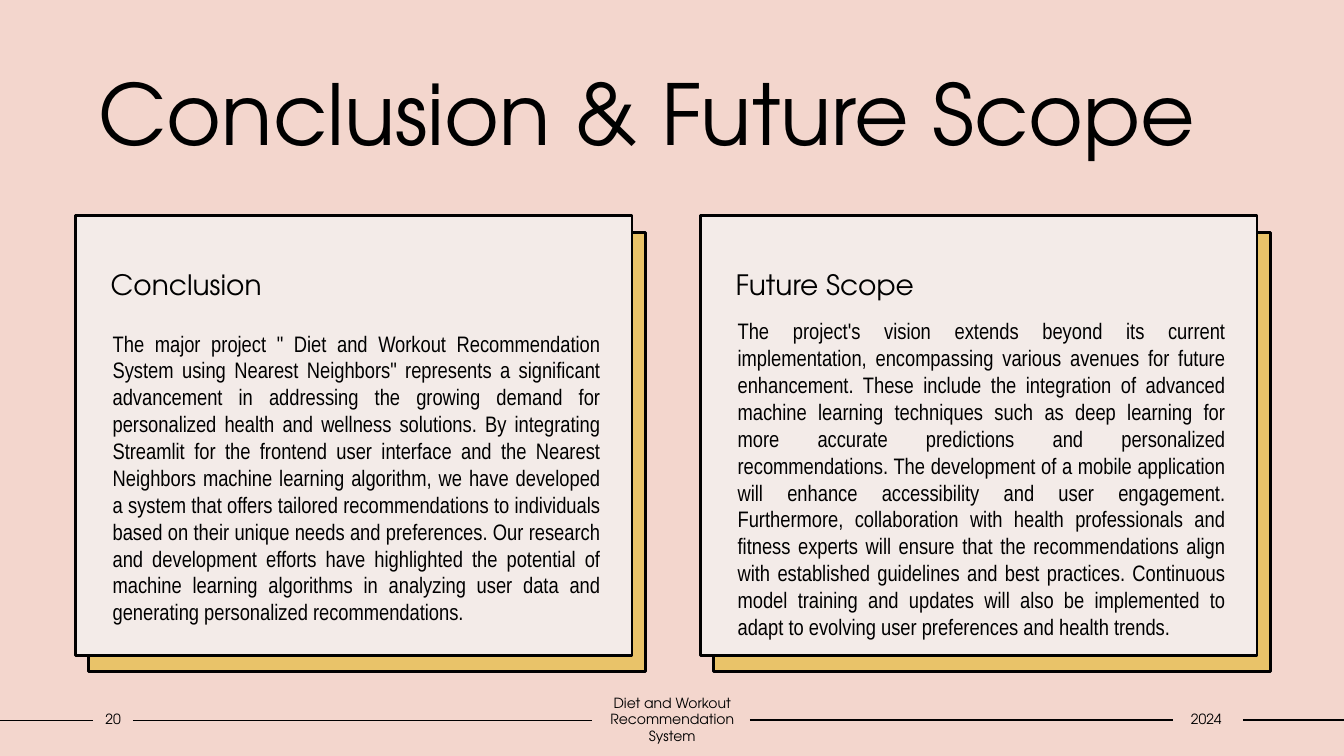
"""Build the conclusion and future scope slide."""
from dataclasses import dataclass

from lxml import etree
from pptx import Presentation
from pptx.dml.color import RGBColor
from pptx.enum.shapes import MSO_CONNECTOR, MSO_SHAPE
from pptx.enum.text import MSO_ANCHOR, MSO_AUTO_SIZE, PP_ALIGN
from pptx.oxml.ns import qn
from pptx.shapes.autoshape import Shape
from pptx.slide import Slide
from pptx.text.text import TextFrame
from pptx.util import Cm, Pt

RECTANGLE = MSO_SHAPE.RECTANGLE
STRAIGHT = MSO_CONNECTOR.STRAIGHT
TOP, MIDDLE = MSO_ANCHOR.TOP, MSO_ANCHOR.MIDDLE
LEFT, CENTER, JUSTIFY = PP_ALIGN.LEFT, PP_ALIGN.CENTER, PP_ALIGN.JUSTIFY
NO_AUTOFIT = MSO_AUTO_SIZE.NONE

BLACK = RGBColor(0x00, 0x00, 0x00)
PINK = RGBColor(0xF3, 0xD6, 0xCD)
YELLOW = RGBColor(0xE9, 0xC3, 0x69)
CREAM = RGBColor(0xF3, 0xEB, 0xE8)

DISPLAY_FONT = "TeX Gyre Adventor"
BODY_FONT = "Arial Narrow"

CARD_LEFT, CARD_TOP, CARD_PITCH = 1.9, 5.44, 15.75
CARD_WIDTH, CARD_HEIGHT = 14.03, 11.07
BACKING_DX, BACKING_DY = 0.34, 0.41
BODY_DX, BODY_WIDTH = 0.69, 12.8
FOOTER_TOP, FOOTER_HEIGHT = 17.78, 0.69


@dataclass(frozen=True)
class Card:
    heading: str
    body: str
    body_top: float
    body_height: float


@dataclass(frozen=True)
class FooterLabel:
    text: str
    left: float
    width: float


@dataclass(frozen=True)
class FooterRule:
    start: float
    end: float
    y: float


@dataclass(frozen=True)
class TextStyle:
    font: str
    size: int
    alignment: PP_ALIGN
    anchor: MSO_ANCHOR = TOP
    insets: tuple[float, float, float, float] = (0.25, 0.13, 0.25, 0.13)
    line_spacing: float = 1.0


TITLE_STYLE = TextStyle(DISPLAY_FONT, 60, CENTER, MIDDLE)
HEADING_STYLE = TextStyle(DISPLAY_FONT, 20, LEFT, TOP, (0.89, 1.4, 0.25, 0.13), 0.9)
BODY_STYLE = TextStyle(BODY_FONT, 16, JUSTIFY)
FOOTER_STYLE = TextStyle(DISPLAY_FONT, 10, CENTER, MIDDLE, (0, 0.13, 0, 0.13))

CARDS = (
    Card(
        "Conclusion",
        'The major project " Diet and Workout Recommendation System using Nearest '
        'Neighbors" represents a significant advancement in addressing the growing '
        "demand for personalized health and wellness solutions. By integrating "
        "Streamlit for the frontend user interface and the Nearest Neighbors machine "
        "learning algorithm, we have developed a system that offers tailored "
        "recommendations to individuals based on their unique needs and preferences. "
        "Our research and development efforts have highlighted the potential of "
        "machine learning algorithms in analyzing user data and generating "
        "personalized recommendations.",
        8.18,
        7.75,
    ),
    Card(
        "Future Scope",
        "The project's vision extends beyond its current implementation, encompassing "
        "various avenues for future enhancement. These include the integration of "
        "advanced machine learning techniques such as deep learning for more accurate "
        "predictions and personalized recommendations. The development of a mobile "
        "application will enhance accessibility and user engagement. Furthermore, "
        "collaboration with health professionals and fitness experts will ensure that "
        "the recommendations align with established guidelines and best practices. "
        "Continuous model training and updates will also be implemented to adapt to "
        "evolving user preferences and health trends.",
        7.87,
        7.62,
    ),
)

FOOTER_LABELS = (
    FooterLabel("20", 2.34, 1.02),
    FooterLabel("Diet and Workout Recommendation System", 14.91, 4.06),
    FooterLabel("2024", 29.51, 1.78),
)

FOOTER_RULES = (
    FooterRule(0, 2.34, 18.16),
    FooterRule(3.35, 14.91, 18.16),
    FooterRule(18.9, 29.57, 18.14),
    FooterRule(31.32, 33.86, 18.14),
)


def set_all(target: object, values: dict[str, object]) -> None:
    """Set each named attribute on the target."""
    for name, value in values.items():
        setattr(target, name, value)


def write(frame: TextFrame, text: str, style: TextStyle) -> None:
    """Put one styled paragraph in a text frame."""
    left, top, right, bottom = map(Cm, style.insets)
    set_all(frame, {
        "text": text,
        "word_wrap": True,
        "auto_size": NO_AUTOFIT,
        "vertical_anchor": style.anchor,
        "margin_left": left,
        "margin_top": top,
        "margin_right": right,
        "margin_bottom": bottom,
    })
    paragraph = frame.paragraphs[0]
    set_all(paragraph, {"alignment": style.alignment, "line_spacing": style.line_spacing})
    font = paragraph.runs[0].font
    set_all(font, {"name": style.font, "size": Pt(style.size)})
    font.color.rgb = BLACK


def add_panel(slide: Slide, left: float, top: float, fill: RGBColor) -> Shape:
    """Add one outlined card rectangle."""
    panel = slide.shapes.add_shape(
        RECTANGLE, Cm(left), Cm(top), Cm(CARD_WIDTH), Cm(CARD_HEIGHT))
    panel.shadow.inherit = False
    panel.fill.solid()
    panel.fill.fore_color.rgb = fill
    panel.line.color.rgb = BLACK
    panel.line.width = Pt(2)
    return panel


def add_text(slide: Slide, text: str, left: float, top: float,
             width: float, height: float, style: TextStyle) -> None:
    """Add a styled text box."""
    box = slide.shapes.add_textbox(Cm(left), Cm(top), Cm(width), Cm(height))
    write(box.text_frame, text, style)


def add_card(slide: Slide, card: Card, left: float) -> None:
    """Add a card with its backing, heading and body."""
    add_panel(slide, left + BACKING_DX, CARD_TOP + BACKING_DY, YELLOW)
    front = add_panel(slide, left, CARD_TOP, CREAM)
    write(front.text_frame, card.heading, HEADING_STYLE)
    add_text(slide, card.body, left + BODY_DX, card.body_top,
             BODY_WIDTH, card.body_height, BODY_STYLE)


def add_rule(slide: Slide, rule: FooterRule) -> None:
    """Add one thin footer line."""
    connector = slide.shapes.add_connector(
        STRAIGHT, Cm(rule.start), Cm(rule.y), Cm(rule.end), Cm(rule.y))
    connector.line.color.rgb = BLACK
    connector.line.width = Pt(1)
    etree.SubElement(connector._element.spPr, qn("a:effectLst"))


def main() -> None:
    """Build and save the presentation."""
    presentation = Presentation()
    set_all(presentation, {"slide_width": Cm(33.87), "slide_height": Cm(19.05)})
    slide = presentation.slides.add_slide(presentation.slide_layouts[5])
    slide.background.fill.solid()
    slide.background.fill.fore_color.rgb = PINK

    title = slide.shapes.title
    set_all(title, {"left": Cm(1.9), "top": Cm(1.42), "width": Cm(28.8), "height": Cm(2.82)})
    write(title.text_frame, "Conclusion & Future Scope", TITLE_STYLE)

    for rule in FOOTER_RULES:
        add_rule(slide, rule)
    for column, card in enumerate(CARDS):
        add_card(slide, card, CARD_LEFT + column * CARD_PITCH)
    for label in FOOTER_LABELS:
        add_text(slide, label.text, label.left, FOOTER_TOP,
                 label.width, FOOTER_HEIGHT, FOOTER_STYLE)

    presentation.save("out.pptx")


if __name__ == "__main__":
    main()
